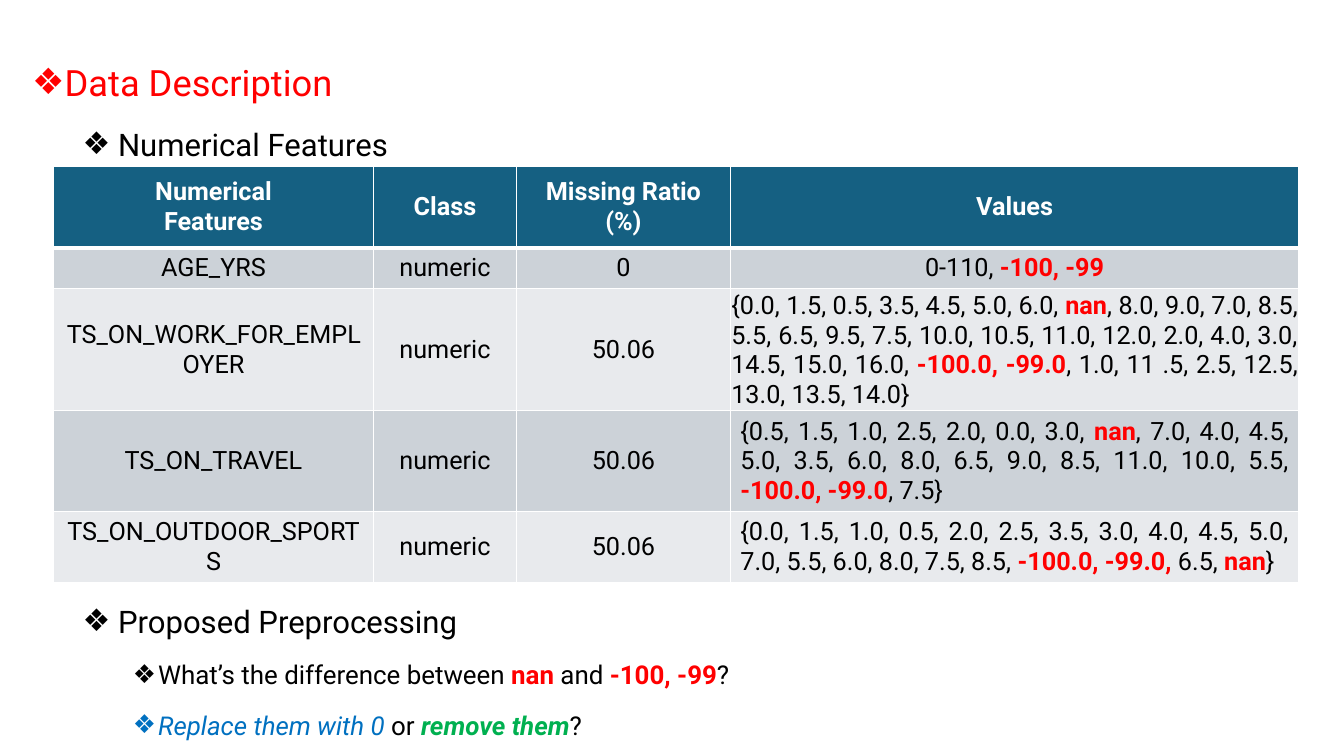
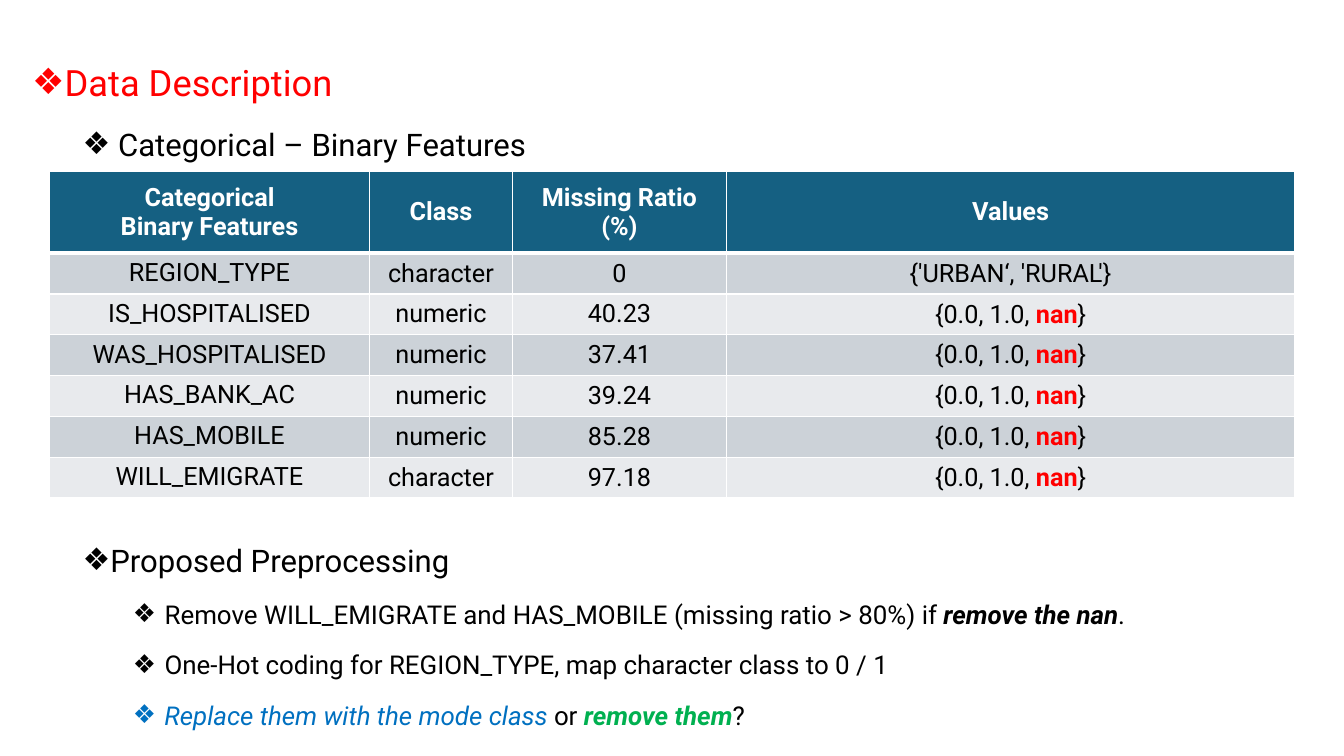
"""Builds two data description slides: numerical and binary features."""
from dataclasses import dataclass
from typing import NamedTuple

from lxml import etree
from pptx import Presentation, util as u
from pptx.dml.color import RGBColor
from pptx.enum import text
from pptx.oxml.ns import qn

WIDTH, HEIGHT = u.Inches(13.33), u.Inches(7.5)
FONT = "Roboto"
WHITE, BLACK, RED = "FFFFFF", "000000", "FF0000"
BLUE, GREEN = "0070C0", "00B050"
HEADER_FILL, BAND_FILLS = "156082", ("CCD2D8", "E8EAED")
COLUMN_SHARES = (25.67, 11.5, 17.17, 45.66)
TABLE_WIDTH = u.Inches(12.35)
ROW_UNIT = u.Inches(0.405)
TABLE_SIZE = 18
LEVEL_SIZES, LEVEL_GAPS = (25.9, 22.2, 18.5), (10, 5, 5)
STYLES = {
    "plain": {"color": BLACK},
    "title": {"color": RED},
    "header": {"color": WHITE, "bold": True},
    "missing": {"color": RED, "bold": True},
    "replace": {"color": BLUE, "italic": True},
    "remove": {"color": GREEN, "bold": True, "italic": True},
    "stress": {"color": BLACK, "bold": True, "italic": True},
}
CENTER, JUSTIFY = text.PP_ALIGN.CENTER, text.PP_ALIGN.JUSTIFY
MIDDLE, TOP = text.MSO_ANCHOR.MIDDLE, text.MSO_ANCHOR.TOP


class Run(NamedTuple):
    """A piece of text and the name of its style."""
    words: str
    style: str = "plain"


class Bullet(NamedTuple):
    """A bulleted paragraph at an outline level."""
    level: int
    runs: list[Run]


class Feature(NamedTuple):
    """One table row; bars in values enclose missing-value codes."""
    name: str
    kind: str
    missing: str
    values: str
    units: float = 1
    align: text.PP_ALIGN = CENTER
    tight: bool = False


@dataclass
class FeatureSlide:
    """Contents of one slide, with positions as shares of its size."""
    subtitle: str
    header: str
    features: list[Feature]
    table_left: float
    table_top: float
    steps_top: float
    steps: list[Bullet]
    name_anchor: text.MSO_ANCHOR


def rgb(code: str) -> RGBColor:
    """Turn a hex string into a colour."""
    return RGBColor.from_string(code)


def marked(words: str) -> list[Run]:
    """Split text at bars, giving every second piece the missing style."""
    pieces = enumerate(words.split("|"))
    return [Run(piece, "missing" if i % 2 else "plain") for i, piece in pieces if piece]


def write_runs(paragraph, runs: list[Run], size: float) -> None:
    """Add styled runs to a paragraph."""
    for words, style in runs:
        run = paragraph.add_run()
        run.text = words
        look = {"name": FONT, "size": u.Pt(size), "bold": False, "italic": False, **STYLES[style]}
        run.font.color.rgb = rgb(look.pop("color"))
        for attribute, value in look.items():
            setattr(run.font, attribute, value)


def add_outline(slide, top: float, height: float, bullets: list[Bullet]) -> None:
    """Draw a text box of bulleted paragraphs."""
    box = slide.shapes.add_textbox(u.Inches(0.22), int(HEIGHT * top), TABLE_WIDTH, int(HEIGHT * height))
    frame = box.text_frame
    frame.word_wrap = True
    for i, (level, runs) in enumerate(bullets):
        paragraph = frame.add_paragraph() if i else frame.paragraphs[0]
        layout = {"level": level, "line_spacing": 1.4, "space_before": u.Pt(LEVEL_GAPS[level])}
        for attribute, value in layout.items():
            setattr(paragraph, attribute, value)
        properties = paragraph._p.get_or_add_pPr()
        properties.set("marL", str(u.Inches(0.25 + 0.5 * level)))
        properties.set("indent", str(-u.Inches(0.25)))
        color = etree.SubElement(properties, qn("a:buClr"))
        etree.SubElement(color, qn("a:srgbClr"), val=STYLES[runs[0].style]["color"])
        etree.SubElement(properties, qn("a:buFont"), typeface="Arial")
        etree.SubElement(properties, qn("a:buChar"), char="❖")
        write_runs(paragraph, runs, LEVEL_SIZES[level])


def set_borders(cell, bottom: float) -> None:
    """Give a cell white borders with its own bottom width."""
    properties = cell._tc.get_or_add_tcPr()
    sides = {"lnL": 1, "lnR": 1, "lnT": 1, "lnB": bottom}
    for i, (side, width) in enumerate(sides.items()):
        line = etree.Element(qn(f"a:{side}"), w=str(u.Pt(width)))
        fill = etree.SubElement(line, qn("a:solidFill"))
        etree.SubElement(fill, qn("a:srgbClr"), val=WHITE)
        properties.insert(i, line)


def fill_cell(cell, lines: list[list[Run]], fill: str, align=CENTER, anchor=MIDDLE, bottom: float = 1) -> None:
    """Fill a table cell with lines of runs."""
    cell.fill.solid()
    cell.fill.fore_color.rgb = rgb(fill)
    cell.vertical_anchor = anchor
    set_borders(cell, bottom)
    for i, runs in enumerate(lines):
        paragraph = cell.text_frame.add_paragraph() if i else cell.text_frame.paragraphs[0]
        paragraph.alignment = align
        write_runs(paragraph, runs, TABLE_SIZE)


def add_features(slide, content: FeatureSlide) -> None:
    """Draw the feature table."""
    units = [2] + [feature.units for feature in content.features]
    table = slide.shapes.add_table(
        len(units), len(COLUMN_SHARES),
        int(WIDTH * content.table_left), int(HEIGHT * content.table_top),
        TABLE_WIDTH, int(ROW_UNIT * sum(units)),
    ).table
    for column, share in zip(table.columns, COLUMN_SHARES):
        column.width = int(TABLE_WIDTH * share / 100)
    for row, unit in zip(table.rows, units):
        row.height = int(ROW_UNIT * unit)
    for column, heading in enumerate((content.header, "Class", "Missing Ratio\n(%)", "Values")):
        lines = [[Run(line, "header")] for line in heading.split("\n")]
        fill_cell(table.cell(0, column), lines, HEADER_FILL, bottom=3)
    for row, feature in enumerate(content.features, 1):
        fill = BAND_FILLS[(row - 1) % 2]
        fill_cell(table.cell(row, 0), [[Run(feature.name)]], fill, anchor=content.name_anchor)
        for column, words in enumerate((feature.kind, feature.missing), 1):
            fill_cell(table.cell(row, column), [[Run(words)]], fill)
        values = table.cell(row, 3)
        fill_cell(values, [marked(feature.values)], fill, feature.align)
        if feature.tight:
            margins = {"left": 0.01, "right": 0.01, "top": 0.01, "bottom": 0}
            for side, margin in margins.items():
                setattr(values, f"margin_{side}", u.Inches(margin))


def add_feature_slide(deck, content: FeatureSlide) -> None:
    """Add one slide with headings, table and preprocessing steps."""
    slide = deck.slides.add_slide(deck.slide_layouts[6])
    headings = [Bullet(0, [Run("Data Description", "title")]), Bullet(1, [Run(content.subtitle)])]
    add_outline(slide, 0.05, 0.17, headings)
    add_features(slide, content)
    add_outline(slide, content.steps_top, 0.98 - content.steps_top, content.steps)


BINARY = "{0.0, 1.0, |nan|}"
SLIDES = [
    FeatureSlide(
        " Numerical Features", "Numerical\nFeatures",
        [
            Feature("AGE_YRS", "numeric", "0", "0-110, |-100, -99"),
            Feature(
                "TS_ON_WORK_FOR_EMPLOYER", "numeric", "50.06",
                "{0.0, 1.5, 0.5, 3.5, 4.5, 5.0, 6.0, |nan|, 8.0, 9.0, 7.0, 8.5, 5.5, 6.5, 9.5, "
                "7.5, 10.0, 10.5, 11.0, 12.0, 2.0, 4.0, 3.0, 14.5, 15.0, 16.0, |-100.0, -99.0|, "
                "1.0, 11 .5, 2.5, 12.5, 13.0, 13.5, 14.0}", 2.9, JUSTIFY, True),
            Feature(
                "TS_ON_TRAVEL", "numeric", "50.06",
                "{0.5, 1.5, 1.0, 2.5, 2.0, 0.0, 3.0, |nan|, 7.0, 4.0, 4.5, 5.0, 3.5, 6.0, 8.0, "
                "6.5, 9.0, 8.5, 11.0, 10.0, 5.5, |-100.0, -99.0|, 7.5}", 2.4, JUSTIFY),
            Feature(
                "TS_ON_OUTDOOR_SPORTS", "numeric", "50.06",
                "{0.0, 1.5, 1.0, 0.5, 2.0, 2.5, 3.5, 3.0, 4.0, 4.5, 5.0, 7.0, 5.5, 6.0, 8.0, "
                "7.5, 8.5, |-100.0, -99.0, |6.5, |nan|}", 1.7, JUSTIFY),
        ],
        0.04, 0.22, 0.77,
        [
            Bullet(1, [Run(" Proposed Preprocessing")]),
            Bullet(2, marked("What’s the difference between |nan |and |-100, -99|?")),
            Bullet(2, [Run("Replace them with 0 ", "replace"), Run("or "),
                       Run("remove them", "remove"), Run("?")]),
        ],
        MIDDLE,
    ),
    FeatureSlide(
        " Categorical – Binary Features", "Categorical\nBinary Features",
        [
            Feature("REGION_TYPE", "character", "0", "{'URBAN‘, 'RURAL'}"),
            Feature("IS_HOSPITALISED", "numeric", "40.23", BINARY, tight=True),
            Feature("WAS_HOSPITALISED", "numeric", "37.41", BINARY),
            Feature("HAS_BANK_AC", "numeric", "39.24", BINARY),
            Feature("HAS_MOBILE", "numeric", "85.28", BINARY),
            Feature("WILL_EMIGRATE", "character", "97.18", BINARY),
        ],
        0.037, 0.227, 0.69,
        [
            Bullet(1, [Run("Proposed Preprocessing")]),
            Bullet(2, [Run(" Remove WILL_EMIGRATE and HAS_MOBILE (missing ratio > 80%) if "),
                       Run("remove the nan", "stress"), Run(".")]),
            Bullet(2, [Run(" One-Hot coding for REGION_TYPE, map character class to 0 / 1")]),
            Bullet(2, [Run(" Replace them with the mode class ", "replace"), Run("or "),
                       Run("remove them", "remove"), Run("?")]),
        ],
        TOP,
    ),
]


def main() -> None:
    """Build and save the deck."""
    deck = Presentation()
    deck.slide_width, deck.slide_height = WIDTH, HEIGHT
    for content in SLIDES:
        add_feature_slide(deck, content)
    deck.save("out.pptx")


if __name__ == "__main__":
    main()
